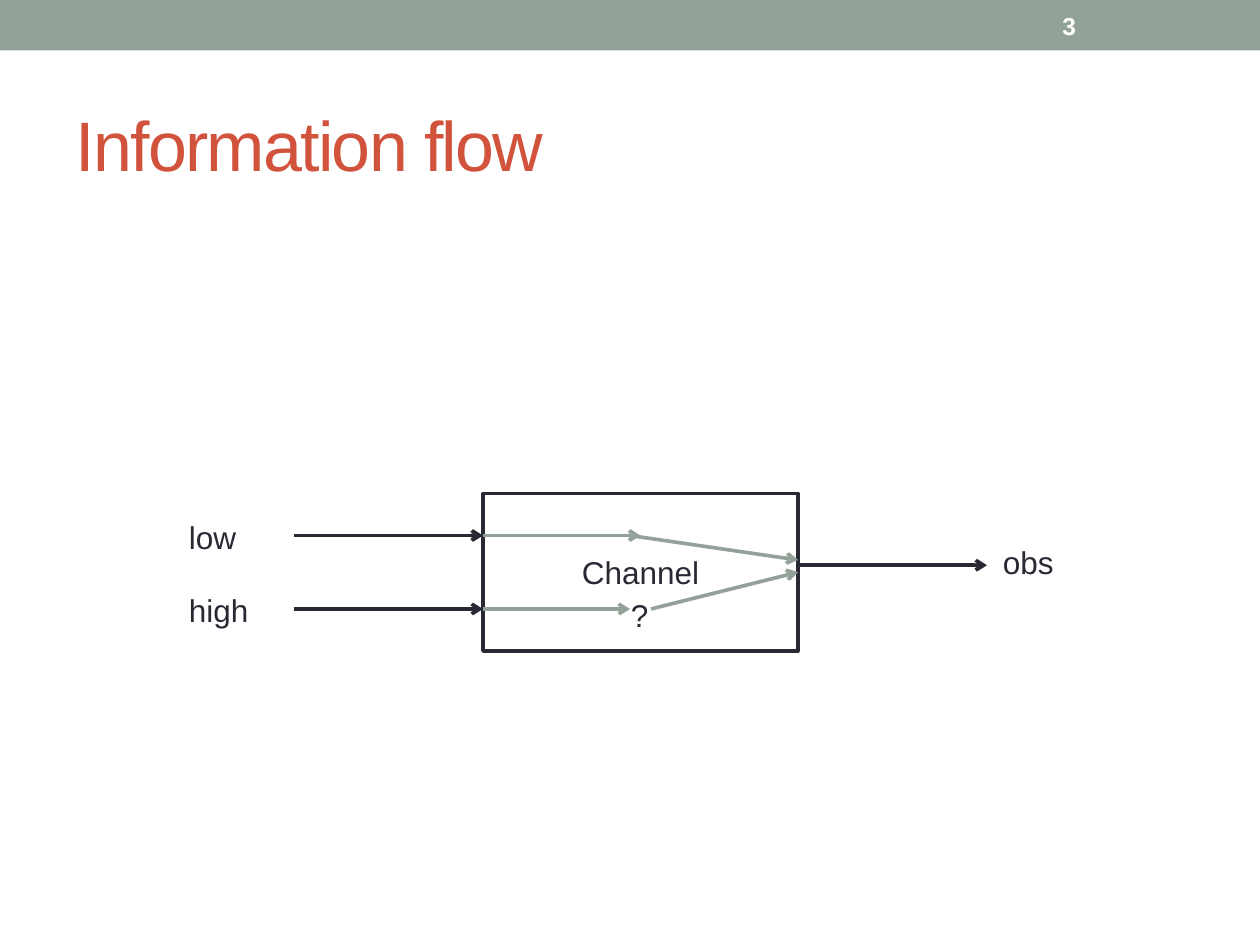
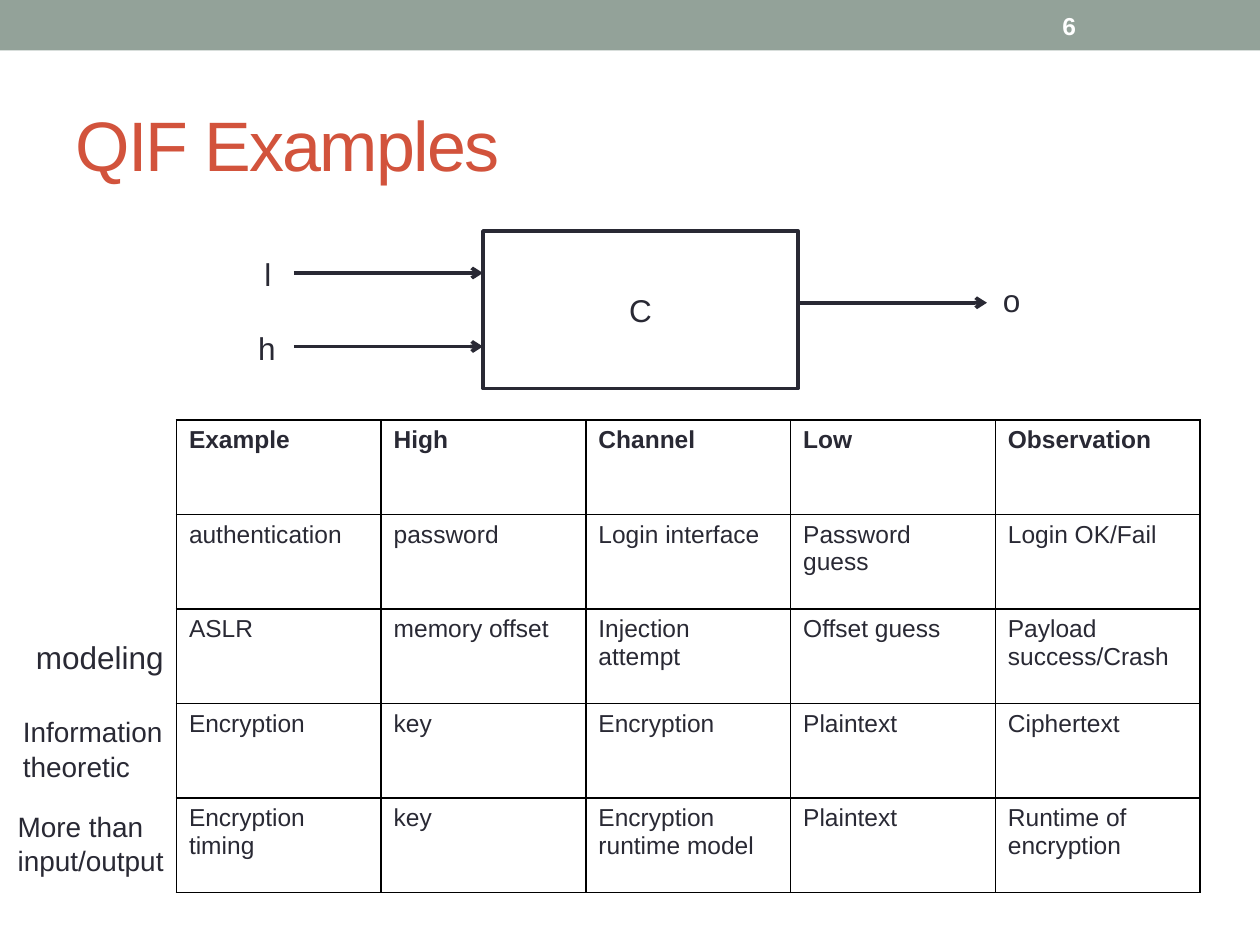
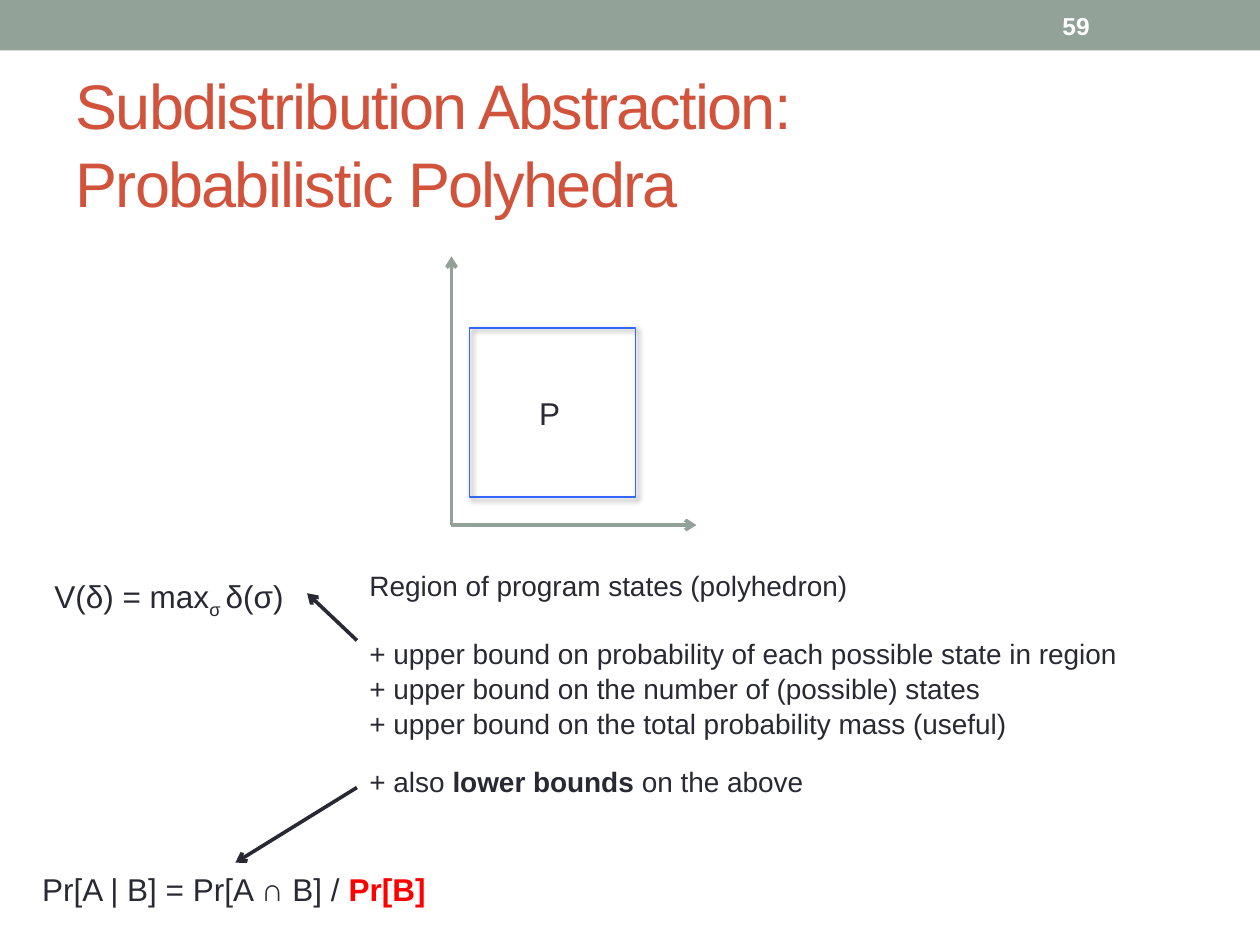
from pptx import Presentation
from pptx.dml.color import RGBColor
from pptx.enum.shapes import MSO_CONNECTOR as Link, MSO_SHAPE as Preset
from pptx.enum.text import MSO_ANCHOR as Anchor, MSO_AUTO_SIZE as Fit, PP_ALIGN as Align
from pptx.oxml import parse_xml
from pptx.oxml.ns import nsdecls, qn
from pptx.util import Pt
from lxml.etree import SubElement

COLORS = {
    "ink": "292934",
    "sage": "93A299",
    "title": "D2533C",
    "white": "FFFFFF",
    "red": "FF0000",
    "blue": "3366FF",
}
COLORS = {name: RGBColor.from_string(value) for name, value in COLORS.items()}
FONT = "Arial"
LINE_WIDTH = Pt(2.08)


def add_text(page, left, top, width, height, lines, size=18, color="ink"):
    box = page.shapes.add_textbox(Pt(left), Pt(top), Pt(width), Pt(height))
    frame = box.text_frame
    frame.word_wrap = False
    frame.text = "\n".join(lines)
    for para in frame.paragraphs:
        para.line_spacing = 1.04
        para.font.name = FONT
        para.font.size = Pt(size)
        para.font.color.rgb = COLORS[color]
    return frame


def add_arrow(page, start_x, start_y, end_x, end_y, color="ink"):
    arrow = page.shapes.add_connector(
        Link.STRAIGHT, Pt(start_x), Pt(start_y), Pt(end_x), Pt(end_y))
    arrow.line.color.rgb = COLORS[color]
    arrow.line.width = LINE_WIDTH
    SubElement(arrow.line._get_or_add_ln(), qn("a:tailEnd"), type="arrow")
    SubElement(arrow._element.spPr, qn("a:effectLst"))


deck = Presentation()
deck.slide_width = Pt(720)
deck.slide_height = Pt(540)

headings = [
    ("Information flow", "3", 40),
    ("QIF Examples", "6", 40),
    ("Subdistribution Abstraction:\vProbabilistic Polyhedra", "59", 36),
]
for heading, number, size in headings:
    page = deck.slides.add_slide(deck.slide_layouts[5])
    band = page.shapes.add_shape(Preset.RECTANGLE, 0, 0, deck.slide_width, Pt(28.8))
    band.shadow.inherit = False
    band.fill.solid()
    band.fill.fore_color.rgb = COLORS["sage"]
    band.line.fill.background()

    title = page.shapes.title
    title.left, title.top, title.width, title.height = Pt(36), Pt(42), Pt(648), Pt(78)
    title.text_frame.text = heading
    title.text_frame.auto_size = Fit.NONE
    title.text_frame.vertical_anchor = Anchor.MIDDLE
    para = title.text_frame.paragraphs[0]
    para.alignment = Align.LEFT
    para.line_spacing = 1.04
    para.font.name = FONT
    para.font.size = Pt(size)
    para.font.color.rgb = COLORS["title"]
    for span in para.runs:
        span._r.get_or_add_rPr().set("spc", "-100")

    frame = add_text(page, 600, 1.5, 84, 26, [number], 14, "white")
    frame.word_wrap = True
    frame.vertical_anchor = Anchor.MIDDLE
    frame.paragraphs[0].font.bold = True

flow_page, examples_page, polyhedra_page = deck.slides

channels = [
    (flow_page, 282, "Channel", ("low", 100.8, 42.5), ("high", 100.8, 49), ("obs", 566, 44)),
    (examples_page, 132, "C", ("l", 144, 19), ("h", 140.4, 24.5), ("o", 566, 24.5)),
]
for page, top, name, *labels in channels:
    channel = page.shapes.add_shape(Preset.RECTANGLE, Pt(276), Pt(top), Pt(180), Pt(90))
    channel.shadow.inherit = False
    channel.fill.solid()
    channel.fill.fore_color.rgb = COLORS["white"]
    channel.line.color.rgb = COLORS["ink"]
    channel.line.width = LINE_WIDTH
    channel.text_frame.text = name
    para = channel.text_frame.paragraphs[0]
    para.alignment = Align.CENTER
    para.font.name = FONT
    para.font.size = Pt(18)
    para.font.color.rgb = COLORS["ink"]
    for start, end, offset in [(168, 276, 24), (168, 276, 66), (456, 564, 41)]:
        add_arrow(page, start, top + offset, end, top + offset)
    for (label, left, width), offset in zip(labels, (9.5, 51.5, 24)):
        add_text(page, left, top + offset, width, 29, [label])

inner_flows = [
    (276, 306, 366, 306),
    (276, 348, 360, 348),
    (372, 348, 456, 327),
    (360, 306, 456, 320),
]
for inner_flow in inner_flows:
    add_arrow(flow_page, *inner_flow, "sage")
add_text(flow_page, 353.5, 336, 24.5, 29, ["?"])

examples = [
    ["Example", "High", "Channel", "Low", "Observation"],
    ["authentication", "password", "Login interface", "Password guess", "Login OK/Fail"],
    ["ASLR", "memory offset", "Injection attempt", "Offset guess", "Payload success/Crash"],
    ["Encryption", "key", "Encryption", "Plaintext", "Ciphertext"],
    ["Encryption timing", "key", "Encryption runtime model", "Plaintext",
     "Runtime of encryption"],
]
table = examples_page.shapes.add_table(
    len(examples), len(examples[0]), Pt(100.8), Pt(240), Pt(585), Pt(270)).table
table.first_row = False
table.horz_banding = False
for row_index, row in enumerate(examples):
    for column_index, text in enumerate(row):
        cell = table.cell(row_index, column_index)
        cell.text = text
        para = cell.text_frame.paragraphs[0]
        para.font.name = FONT
        para.font.size = Pt(14)
        para.font.bold = row_index == 0
        para.font.color.rgb = COLORS["ink"]
        properties = cell._tc.get_or_add_tcPr()
        for side in ("lnL", "lnR", "lnT", "lnB"):
            properties.append(parse_xml(
                f'<a:{side} {nsdecls("a")} w="12700"><a:solidFill>'
                f'<a:srgbClr val="000000"/></a:solidFill></a:{side}>'))
        cell.fill.background()

add_text(examples_page, 13.5, 360, 88.5, 29, ["modeling"])
add_text(examples_page, 6, 404, 95, 46, ["Information", "theoretic"], 16)
add_text(examples_page, 3, 458, 98.5, 46, ["More than", "input/output"], 16)

add_arrow(polyhedra_page, 258, 300, 258, 146.5, "sage")
add_arrow(polyhedra_page, 258, 300, 398, 300, "sage")
region = polyhedra_page.shapes.add_shape(
    Preset.RECTANGLE, Pt(268.5), Pt(187.5), Pt(94.5), Pt(96.5))
region.fill.background()
region.line.color.rgb = COLORS["blue"]
region.line.width = Pt(0.75)
region.shadow.inherit = False
region._element.spPr.find(qn("a:effectLst")).append(parse_xml(
    f'<a:outerShdw {nsdecls("a")} blurRad="38100" dist="25400" dir="2700000">'
    '<a:srgbClr val="000000"><a:alpha val="60000"/></a:srgbClr></a:outerShdw>'))
add_text(polyhedra_page, 301, 221, 26.5, 29, ["P"])

frame = add_text(polyhedra_page, 204, 320.5, 447, 156, [
    "Region of program states (polyhedron)",
    "+ upper bound on probability of each possible state in region",
    "+ upper bound on the number of (possible) states",
    "+ upper bound on the total probability mass (useful)",
    "+ also ",
], 16)
frame.paragraphs[1].space_before = Pt(19)
bounds = frame.paragraphs[4]
bounds.space_before = Pt(13.5)
span = bounds.add_run()
span.text = "lower bounds"
span.font.bold = True
bounds.add_run().text = " on the above"

frame = add_text(polyhedra_page, 17, 493, 235, 29, ["Pr[A | B] = Pr[A ∩ B] / "])
span = frame.paragraphs[0].add_run()
span.text = "Pr[B]"
span.font.bold = True
span.font.color.rgb = COLORS["red"]

frame = add_text(polyhedra_page, 24, 325, 147.5, 29, ["V(δ) = max"])
span = frame.paragraphs[0].add_run()
span.text = "σ "
span._r.get_or_add_rPr().set("baseline", "-25000")
frame.paragraphs[0].add_run().text = "δ(σ)"

add_arrow(polyhedra_page, 204, 366, 175.5, 339)
add_arrow(polyhedra_page, 204, 450, 134.5, 493)

deck.save("out.pptx")
